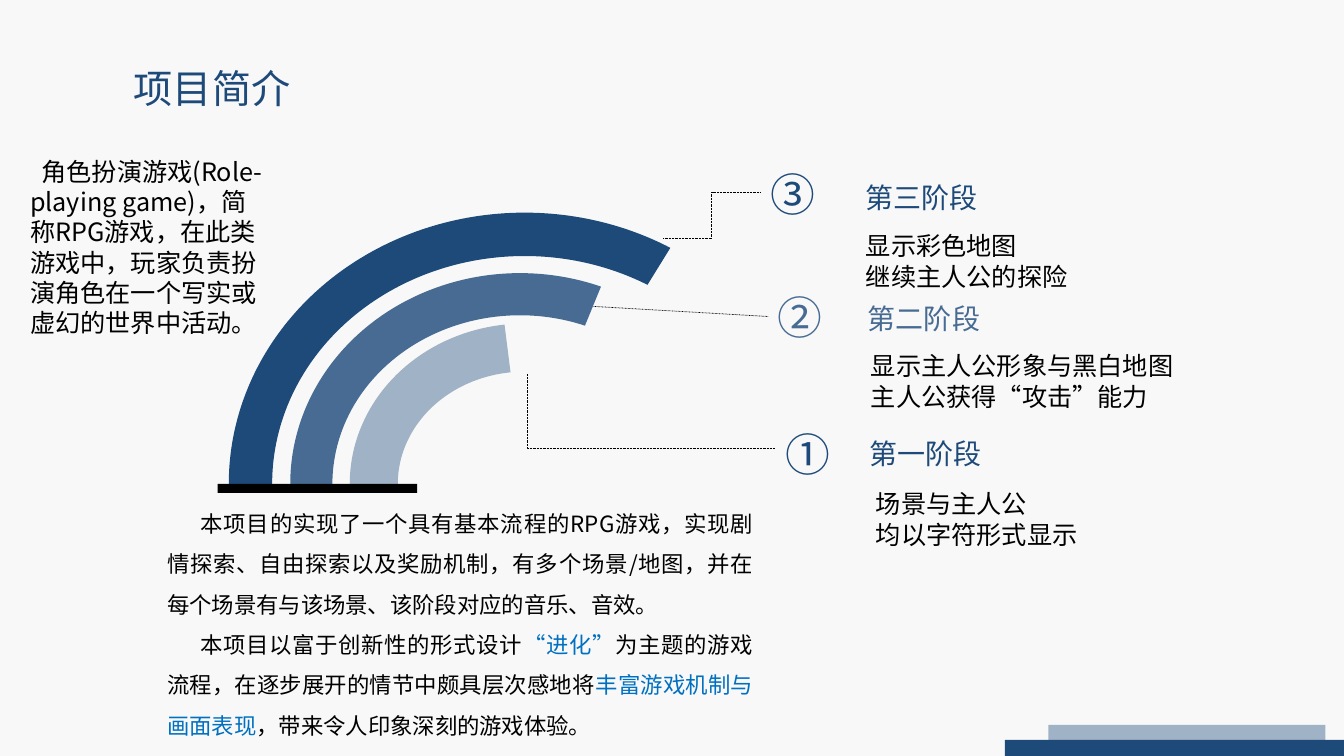
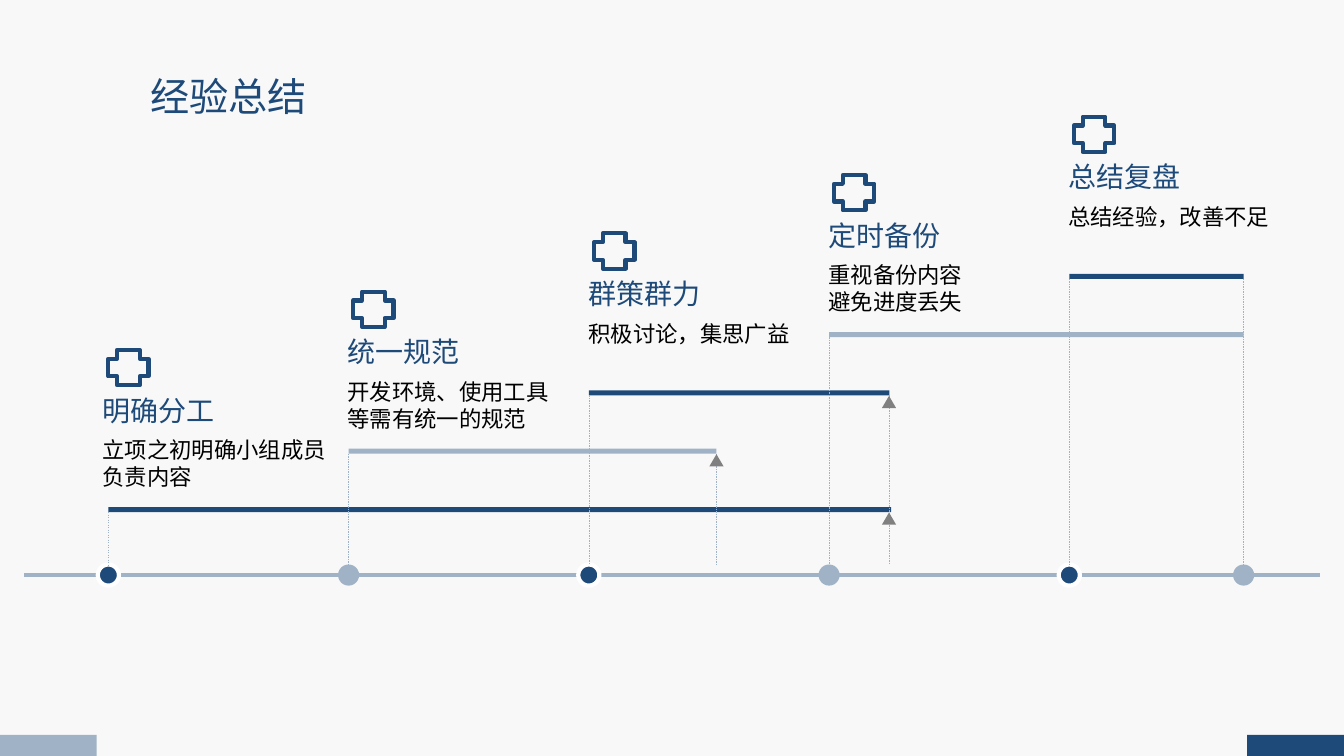
from lxml.etree import SubElement
from pptx import Presentation
from pptx.dml.color import RGBColor
from pptx.enum.dml import MSO_LINE
from pptx.enum.shapes import MSO_CONNECTOR, MSO_SHAPE
from pptx.enum.text import MSO_AUTO_SIZE, PP_ALIGN
from pptx.oxml.ns import qn
from pptx.util import Emu, Pt

# The slide is a grid of 160 columns by 90 rows of square cells.
COLS, ROWS, CELL = 160, 90, 76200

PAPER = RGBColor(0xF8, 0xF8, 0xF8)
NAVY = RGBColor(0x1E, 0x4A, 0x7A)
STEEL = RGBColor(0x47, 0x6B, 0x92)
MIST = RGBColor(0xA0, 0xB2, 0xC5)
GRAY = RGBColor(0x80, 0x80, 0x80)
BLUE = RGBColor(0x00, 0x70, 0xC0)
BLACK = RGBColor(0, 0, 0)
WHITE = RGBColor(0xFF, 0xFF, 0xFF)

FACE = "Noto Sans CJK SC"
TITLE = {"name": FACE, "size": Pt(28)}
MARK = {"name": FACE, "size": Pt(32)}
HEAD = {"name": FACE, "size": Pt(20)}
BODY = {"name": FACE, "size": Pt(18)}
SMALL = {"name": FACE, "size": Pt(16)}

DOTS = {"width": Pt(0.5), "dash_style": MSO_LINE.ROUND_DOT}
THIN = {"width": Pt(0.25), "dash_style": MSO_LINE.DASH}
THICK = {"width": Pt(3)}
JUST = {"alignment": PP_ALIGN.JUSTIFY}
FRAME = {"word_wrap": True, "auto_size": MSO_AUTO_SIZE.SHAPE_TO_FIT_TEXT}


def cells(*counts):
    return [Emu(round(count * CELL)) for count in counts]


def apply(target, values):
    for name, value in values.items():
        setattr(target, name, value)


def add_text(slide, box, paras, style, color=BLACK, layout=None, indent=0):
    """Each paragraph is a string or a list of (text, colour) runs."""
    frame = slide.shapes.add_textbox(*cells(*box)).text_frame
    apply(frame, FRAME)
    for i, para in enumerate(paras):
        line = frame.add_paragraph() if i else frame.paragraphs[0]
        apply(line, layout or {})
        if indent:
            line._p.get_or_add_pPr().set("indent", str(round(indent * CELL)))
        for text, tint in [(para, color)] if isinstance(para, str) else para:
            run = line.add_run()
            run.text = text
            apply(run.font, style)
            run.font.color.rgb = tint
            SubElement(run._r.get_or_add_rPr(), qn("a:ea"), typeface=FACE)


def add_shape(slide, kind, box, fill=None, edge=None):
    shape = slide.shapes.add_shape(kind, *cells(*box))
    shape.shadow.inherit = False
    if fill is None:
        shape.fill.background()
    else:
        shape.fill.solid()
        shape.fill.fore_color.rgb = fill
    if edge is None:
        shape.line.fill.background()
    else:
        shape.line.color.rgb = edge
        apply(shape.line, THICK)
    return shape


def add_line(slide, ends, color, style, bend=None):
    """Draw a straight line, or an elbow turning at the share bend."""
    kind = MSO_CONNECTOR.STRAIGHT if bend is None else MSO_CONNECTOR.ELBOW
    line = slide.shapes.add_connector(kind, *cells(*ends))
    line.line.color.rgb = color
    apply(line.line, style)
    props = line._element.spPr
    SubElement(props, qn("a:effectLst"))
    if bend is not None:
        guides = props.find(qn("a:prstGeom")).get_or_add_avLst()
        SubElement(guides, qn("a:gd"), name="adj1",
                   fmla=f"val {round(bend * 100000)}")


def add_arc(slide, mid, base, size, end, thick, color):
    """Draw a band from the left end of the base round to an angle."""
    wide, high = size
    box = mid - wide / 2, base - high / 2, wide, high
    arc = add_shape(slide, MSO_SHAPE.BLOCK_ARC, box, color)
    for i, value in enumerate((180 * 0.6, end * 0.6, thick)):
        arc.adjustments[i] = value


def add_title(slide, left, top, text):
    add_text(slide, (left, top, 31, 6.84), [text], TITLE, NAVY, JUST)


def add_bands(slide, *bands):
    """Fill light, then dark, down to the bottom edge of the slide."""
    for (left, wide, high), color in zip(bands, (MIST, NAVY)):
        add_shape(slide, MSO_SHAPE.RECTANGLE,
                  (left, ROWS - high, wide, high), color)


def add_stage(slide, i, tops, color, mark, head, lines, wide):
    """Each stage down the list stands a little further to the right."""
    add_text(slide, (90.5 + 0.9 * i, tops[0], 16, 7.6), [mark], MARK, color)
    add_text(slide, (101.9 + 0.24 * i, tops[1], 20.3, 5.2), [head], HEAD, color)
    add_text(slide, (101.9 + 0.6 * i, tops[2], wide, 8.4), lines, BODY)


def draw_intro(slide):
    base = 57.6
    for arc in (
        (62.46, base, (70.44, 64.56), 301.7, 0.08, NAVY),
        (61.92, base, (54.72, 50.16), 292.31, 0.1, STEEL),
        (62.46, base, (41.64, 38.16), 262.8, 0.15, MIST),
    ):
        add_arc(slide, *arc)
    add_shape(slide, MSO_SHAPE.RECTANGLE, (25.92, base, 23.76, 1.08), BLACK)
    for ends, bend in (
        ((62.76, 44.52, 92.28, 53.4), 0),
        ((78.96, 28.44, 90.48, 22.92), 0.5),
        ((70.68, 36.48, 91.44, 37.68), None),
    ):
        add_line(slide, ends, BLACK, DOTS, bend)

    stages = (
        ((19.2, 20.88, 26.88), NAVY, "③", "第三阶段",
         ["显示彩色地图", "继续主人公的探险"], 30.6),
        ((33.84, 35.28, 41.16), STEEL, "②", "第二阶段",
         ["显示主人公形象与黑白地图", "主人公获得“攻击”能力"], 38.8),
        ((50.16, 51.36, 57.6), NAVY, "①", "第一阶段",
         ["场景与主人公", "均以字符形式显示"], 33.2),
    )
    for i, stage in enumerate(stages):
        add_stage(slide, i, *stage)

    add_title(slide, 14.76, 7.08, "项目简介")
    add_text(slide, (2.4, 18, 31.08, 23), [
        "角色扮演游戏(Role-playing game)，简称RPG游戏，在此类游戏中，"
        "玩家负责扮演角色在一个写实或虚幻的世界中活动。",
    ], BODY, indent=1.35)
    add_text(slide, (18.72, 58.56, 72.12, 29.76), [
        "本项目的实现了一个具有基本流程的RPG游戏，实现剧情探索、自由探索以及"
        "奖励机制，有多个场景/地图，并在每个场景有与该场景、该阶段对应的音乐、音效。",
        [("本项目以富于创新性的形式设计", BLACK),
         ("“进化”", BLUE),
         ("为主题的游戏流程，在逐步展开的情节中颇具层次感地将", BLACK),
         ("丰富游戏机制与画面表现", BLUE),
         ("，带来令人印象深刻的游戏体验。", BLACK)],
    ], SMALL, layout={**JUST, "line_spacing": 1.5}, indent=4)
    add_bands(slide, (124.8, 33, 3.72), (119.64, 40.36, 1.92))


def add_node(slide, mid, axis, dark):
    size = 2.52
    box = mid - size / 2, axis - size / 2, size, size
    add_shape(slide, MSO_SHAPE.OVAL, box,
              NAVY if dark else MIST, WHITE if dark else None)


def add_step(slide, node, top, end, dark, left, wide, head, lines):
    """Draw one bar with its plus sign, heading and text above it."""
    add_shape(slide, MSO_SHAPE.RECTANGLE, (node, top, end - node, 0.6),
              NAVY if dark else MIST)
    add_shape(slide, MSO_SHAPE.CROSS, (left + 1.85, top - 18.7, 4.8, 4.2),
              edge=NAVY)
    add_text(slide, (left, top - 14.16, 24.4, 5.3), [head], HEAD, NAVY)
    add_text(slide, (left, top - 9, wide, 4.4), lines, SMALL)


def draw_steps(slide):
    axis, last = 68.46, 148.05
    steps = (
        (106.1, 11.04, 29.1, "明确分工", ["立项之初明确小组成员负责内容"]),
        (85.3, 40.2, 27.84, "统一规范", ["开发环境、使用工具等需有统一的规范"]),
        (105.9, 68.88, 27.84, "群策群力", ["积极讨论，集思广益"]),
        (last, 97.44, 27.84, "定时备份", ["重视备份内容", "避免进度丢失"]),
        (last, 126, 27.84, "总结复盘", ["总结经验，改善不足"]),
    )
    nodes = [12.9 + 28.6 * i for i in range(len(steps))]
    tops = [60.36 - 6.94 * i for i in range(len(steps))]

    add_line(slide, (2.88, axis, 157.2, axis), MIST, THICK)
    for i, node in enumerate([*nodes, last]):
        add_node(slide, node, axis, i % 2 == 0)
    for i, (node, top, (end, *rest)) in enumerate(zip(nodes, tops, steps)):
        add_step(slide, node, top, end, i % 2 == 0, *rest)

    drops = [*zip(nodes, tops), (last, tops[4]), (85.3, tops[1]),
             (105.84, tops[2])]
    for left, top in drops:
        add_line(slide, (left, top + 0.6, left, axis - 1.2), MIST, THIN)
    for mid, top in ((85.3, tops[1]), (105.84, tops[2]), (105.84, tops[0])):
        add_shape(slide, MSO_SHAPE.ISOSCELES_TRIANGLE,
                  (mid - 0.84, top + 0.65, 1.68, 1.44), GRAY)

    add_title(slide, 16.68, 8.04, "经验总结")
    add_bands(slide, (0, 11.52, 2.52), (COLS - 11.52, 11.52, 2.52))


def main():
    deck = Presentation()
    deck.slide_width, deck.slide_height = cells(COLS, ROWS)
    back = deck.slide_master.background.fill
    back.solid()
    back.fore_color.rgb = PAPER
    for draw in (draw_intro, draw_steps):
        draw(deck.slides.add_slide(deck.slide_layouts[6]))
    deck.save("out.pptx")


if __name__ == "__main__":
    main()
